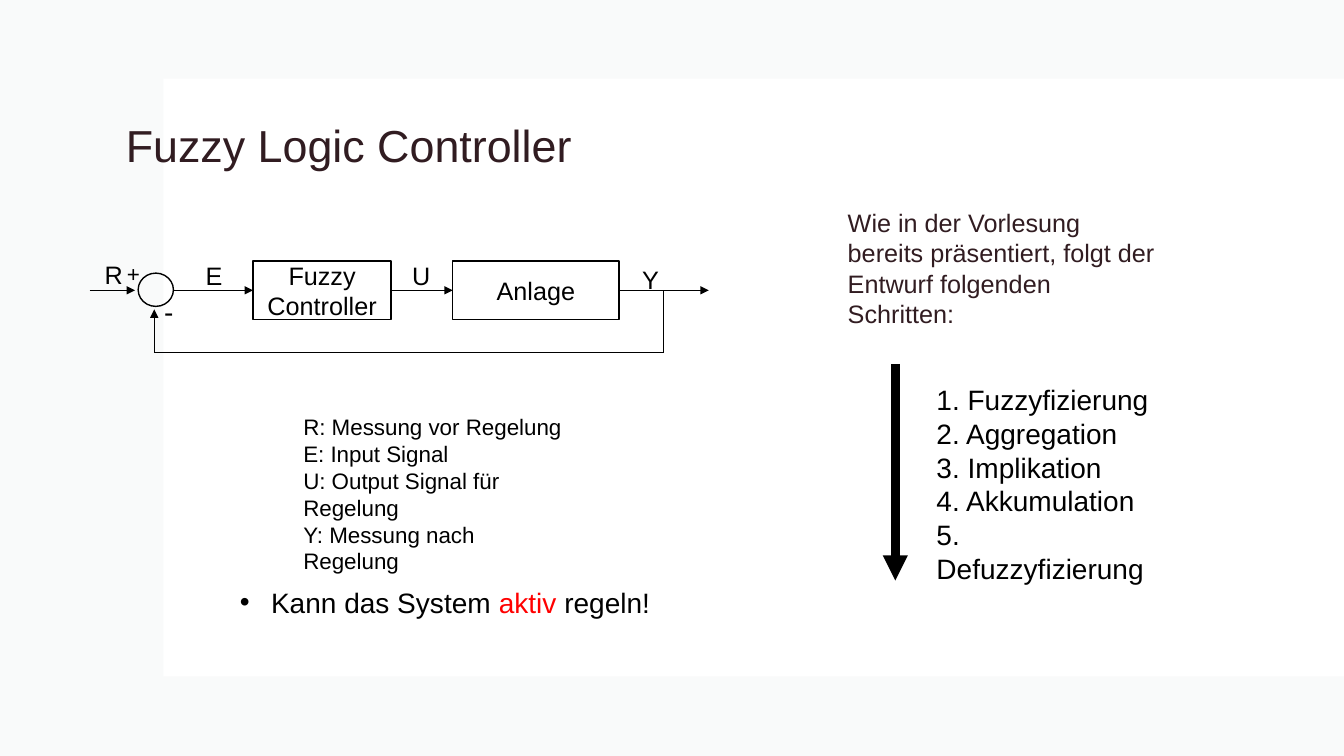
from dataclasses import dataclass
from typing import Any, Optional

from lxml import etree
from pptx import Presentation
from pptx.dml.color import RGBColor
from pptx.enum.shapes import MSO_CONNECTOR, MSO_SHAPE
from pptx.enum.text import MSO_ANCHOR, MSO_AUTO_SIZE, PP_ALIGN
from pptx.oxml.ns import qn
from pptx.util import Inches, Pt

STRAIGHT = MSO_CONNECTOR.STRAIGHT
RECTANGLE, OVAL = MSO_SHAPE.RECTANGLE, MSO_SHAPE.OVAL
TOP, MIDDLE = MSO_ANCHOR.TOP, MSO_ANCHOR.MIDDLE
FIXED, GROW = MSO_AUTO_SIZE.NONE, MSO_AUTO_SIZE.SHAPE_TO_FIT_TEXT
LEFT, CENTER = PP_ALIGN.LEFT, PP_ALIGN.CENTER
LEFT_SIDE, RIGHT_SIDE = 1, 3


@dataclass(frozen=True)
class Theme:
    font: str = "Arial"
    ink: str = "000000"
    heading: str = "311C21"
    accent: str = "FF0000"
    backdrop: str = "F0F3F3"
    panel: str = "FFFFFF"
    title_size: int = 32
    list_size: int = 20
    body_size: int = 18
    note_size: int = 16
    outline: float = 1
    wire: float = 0.5
    progress: float = 6


THEME = Theme()


@dataclass(frozen=True)
class Box:
    left: float
    top: float
    width: float
    height: float

    def emu(self) -> list[int]:
        return [Inches(v) for v in (self.left, self.top, self.width, self.height)]


@dataclass(frozen=True)
class Label:
    box: Box
    runs: tuple[tuple[str, str], ...]
    size: int
    wrap: bool = True
    anchor: Any = TOP
    auto_size: Any = GROW
    line_spacing: float = 1.0
    bullet: str = ""


@dataclass(frozen=True)
class Node:
    box: Box
    shape: Any
    text: str = ""


@dataclass(frozen=True)
class Wire:
    start: tuple[float, float]
    end: tuple[float, float]
    arrow: bool = True
    width: float = THEME.wire
    source: Optional[str] = None
    target: Optional[str] = None


def apply(target: Any, values: dict[str, Any]) -> None:
    for name, value in values.items():
        setattr(target, name, value)


def style_font(font: Any, size: int, color: str) -> None:
    apply(font, {"name": THEME.font, "size": Pt(size)})
    font.color.rgb = RGBColor.from_string(color)


def add_surface(slide: Any, box: Box, color: str, opacity: int = 100) -> None:
    surface = slide.shapes.add_shape(RECTANGLE, *box.emu())
    surface.shadow.inherit = False
    surface.line.fill.background()
    surface.fill.solid()
    surface.fill.fore_color.rgb = RGBColor.from_string(color)
    if opacity < 100:
        tint = surface.fill._xPr.find(qn("a:solidFill"))[0]
        etree.SubElement(tint, qn("a:alpha"), val=str(opacity * 1000))


def add_node(slide: Any, node: Node) -> Any:
    block = slide.shapes.add_shape(node.shape, *node.box.emu())
    block.shadow.inherit = False
    block.fill.background()
    block.line.color.rgb = RGBColor.from_string(THEME.ink)
    block.line.width = Pt(THEME.outline)
    if node.text:
        apply(block.text_frame, {"word_wrap": True, "vertical_anchor": MIDDLE})
        paragraph = block.text_frame.paragraphs[0]
        paragraph.text = node.text
        paragraph.alignment = CENTER
        style_font(paragraph.runs[0].font, THEME.body_size, THEME.ink)
    return block


def add_label(slide: Any, label: Label) -> None:
    frame = slide.shapes.add_textbox(*label.box.emu()).text_frame
    apply(frame, {"word_wrap": label.wrap, "vertical_anchor": label.anchor,
                  "auto_size": label.auto_size})
    paragraph = frame.paragraphs[0]
    apply(paragraph, {"alignment": LEFT, "line_spacing": label.line_spacing})
    if label.bullet:
        properties = paragraph._p.get_or_add_pPr()
        indent = Inches(0.31)
        properties.set("marL", str(indent))
        properties.set("indent", str(-indent))
        etree.SubElement(properties, qn("a:buFont"), typeface=THEME.font)
        etree.SubElement(properties, qn("a:buChar"), char=label.bullet)
    for text, color in label.runs:
        for index, line in enumerate(text.split("\n")):
            if index:
                paragraph.add_line_break()
            run = paragraph.add_run()
            run.text = line
            style_font(run.font, label.size, color)


def add_wire(slide: Any, wire: Wire, blocks: dict[str, Any]) -> None:
    ends = [Inches(v) for v in (*wire.start, *wire.end)]
    connector = slide.shapes.add_connector(STRAIGHT, *ends)
    if wire.source:
        connector.begin_connect(blocks[wire.source], RIGHT_SIDE)
    if wire.target:
        connector.end_connect(blocks[wire.target], LEFT_SIDE)
    connector.line.color.rgb = RGBColor.from_string(THEME.ink)
    connector.line.width = Pt(wire.width)
    if wire.arrow:
        etree.SubElement(connector.line._get_or_add_ln(), qn("a:tailEnd"), type="triangle")
    etree.SubElement(connector._element.spPr, qn("a:effectLst"))


SIGNAL_Y, FEEDBACK_Y = 2.88, 3.5
SUM_X, BRANCH_X = 1.53, 6.58

NODES = {
    "controller": Node(Box(2.51, 2.59, 1.37, 0.58), RECTANGLE, "Fuzzy Controller"),
    "plant": Node(Box(4.49, 2.59, 1.65, 0.58), RECTANGLE, "Anlage"),
    "sum": Node(Box(1.37, 2.71, 0.35, 0.33), OVAL),
}

WIRES = (
    Wire((0.89, SIGNAL_Y), (1.34, SIGNAL_Y)),
    Wire((1.72, SIGNAL_Y), (2.51, SIGNAL_Y), target="controller"),
    Wire((3.88, SIGNAL_Y), (4.49, SIGNAL_Y), source="controller", target="plant"),
    Wire((6.14, SIGNAL_Y), (7.03, SIGNAL_Y), source="plant"),
    Wire((BRANCH_X, SIGNAL_Y), (BRANCH_X, FEEDBACK_Y), arrow=False),
    Wire((BRANCH_X, FEEDBACK_Y), (SUM_X, FEEDBACK_Y), arrow=False),
    Wire((SUM_X, FEEDBACK_Y), (SUM_X, 3.07)),
    Wire((8.88, 3.61), (8.88, 5.76), width=THEME.progress),
)

SIGNALS = (("R", 0.94, 2.52), ("E", 1.94, 2.53), ("U", 3.99, 2.53), ("Y", 6.27, 2.57))

LEGEND = """R: Messung vor Regelung
E: Input Signal
U: Output Signal für Regelung
Y: Messung nach Regelung"""

STEPS = """1. Fuzzyfizierung
2. Aggregation
3. Implikation
4. Akkumulation
5. Defuzzyfizierung"""

INTRO = "Wie in der Vorlesung bereits präsentiert, folgt der Entwurf folgenden Schritten:"

LABELS = (
    Label(Box(1.15, 0.74, 11.53, 1.45), (("Fuzzy Logic Controller", THEME.heading),),
          THEME.title_size, anchor=MIDDLE, auto_size=FIXED, line_spacing=0.9),
    Label(Box(8.31, 2.01, 3.27, 1.39), ((INTRO, THEME.heading),),
          THEME.body_size, auto_size=FIXED),
    Label(Box(1.16, 2.53, 0.25, 0.35), (("+", THEME.ink),), THEME.note_size),
    Label(Box(1.53, 2.87, 0.26, 0.41), (("-", THEME.ink),), THEME.list_size, wrap=False),
    *(Label(Box(left, top, 0.34, 0.38), ((signal, THEME.ink),), THEME.body_size, wrap=False)
      for signal, left, top in SIGNALS),
    Label(Box(2.91, 4.05, 2.87, 1.72), ((LEGEND, THEME.ink),), THEME.note_size),
    Label(Box(9.19, 3.75, 2.46, 1.78), ((STEPS, THEME.ink),), THEME.list_size),
    Label(Box(2.28, 5.76, 4.88, 0.44),
          (("Kann das System ", THEME.ink), ("aktiv", THEME.accent), (" regeln!", THEME.ink)),
          THEME.list_size, bullet="•"),
)


def main() -> None:
    deck = Presentation()
    apply(deck, {"slide_width": Inches(13.33), "slide_height": Inches(7.5)})
    slide = deck.slides.add_slide(deck.slide_layouts[6])
    add_surface(slide, Box(0, 0, 13.33, 7.5), THEME.backdrop, opacity=35)
    add_surface(slide, Box(1.62, 0.78, 11.71, 5.93), THEME.panel)
    blocks = {name: add_node(slide, node) for name, node in NODES.items()}
    for wire in WIRES:
        add_wire(slide, wire, blocks)
    for label in LABELS:
        add_label(slide, label)
    deck.save("out.pptx")


if __name__ == "__main__":
    main()
